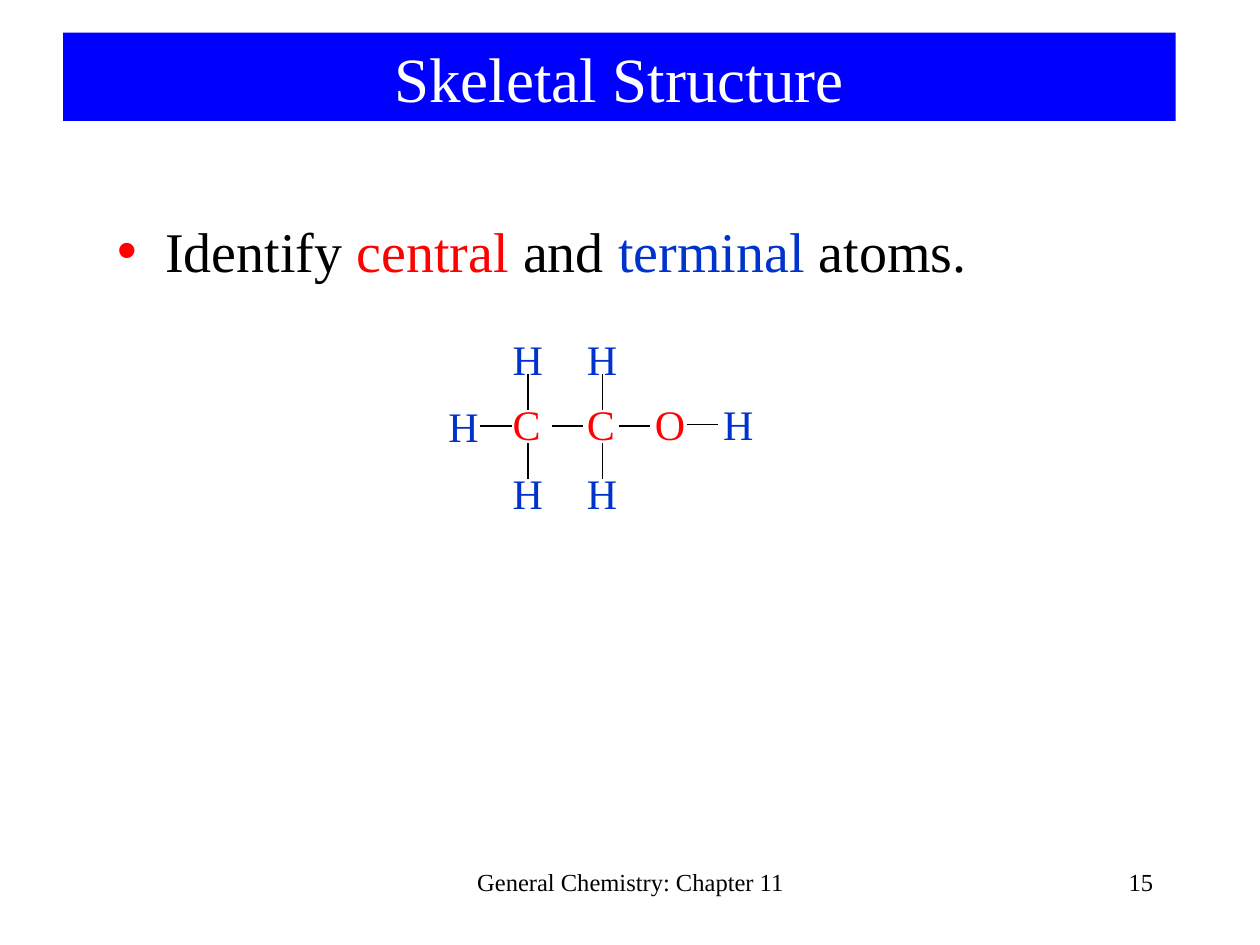
from dataclasses import dataclass

from lxml import etree
from pptx import Presentation
from pptx.dml.color import RGBColor
from pptx.enum.shapes import MSO_CONNECTOR
from pptx.enum.text import MSO_ANCHOR, MSO_AUTO_SIZE, PP_ALIGN
from pptx.oxml.ns import qn
from pptx.util import Inches, Pt

LEFT, CENTER, RIGHT = PP_ALIGN.LEFT, PP_ALIGN.CENTER, PP_ALIGN.RIGHT
TOP, MIDDLE = MSO_ANCHOR.TOP, MSO_ANCHOR.MIDDLE
NO_FIT = MSO_AUTO_SIZE.NONE
STRAIGHT = MSO_CONNECTOR.STRAIGHT


@dataclass
class Theme:
    font: str = "Times New Roman"
    banner: str = "0000FF"
    light: str = "FFFFFF"
    ink: str = "000000"
    central: str = "FF0101"
    terminal: str = "0033CC"
    title_size: int = 36
    body_size: int = 32
    atom_size: int = 24
    footer_size: int = 14
    bond_width: float = 0.74


theme = Theme()


def place(shape, left, top, width, height, anchor=TOP):
    shape.left, shape.top = Inches(left), Inches(top)
    shape.width, shape.height = Inches(width), Inches(height)
    frame = shape.text_frame
    frame.word_wrap = True
    frame.auto_size = NO_FIT
    frame.vertical_anchor = anchor
    return frame.paragraphs[0]


def style(paragraph, size, color, align=LEFT):
    paragraph.alignment = align
    paragraph.font.name = theme.font
    paragraph.font.size = Pt(size)
    paragraph.font.color.rgb = RGBColor.from_string(color)


deck = Presentation()
deck.slide_width, deck.slide_height = Inches(10), Inches(7.5)
slide = deck.slides.add_slide(deck.slide_layouts[1])
shapes = slide.shapes

# Title banner
banner = shapes.title
banner.fill.solid()
banner.fill.fore_color.rgb = RGBColor.from_string(theme.banner)
heading = place(banner, 0.5, 0.26, 8.83, 0.7, MIDDLE)
heading.text = "Skeletal Structure"
style(heading, theme.title_size, theme.light, CENTER)

# Bulleted instruction with coloured key words
instruction = place(slide.placeholders[1], 0.83, 1.67, 8.5, 4.5)
style(instruction, theme.body_size, theme.ink)
instruction.space_before = Pt(8)
for words, color in (
    ("Identify ", theme.ink),
    ("central", theme.central),
    (" and ", theme.ink),
    ("terminal", theme.terminal),
    (" atoms.", theme.ink),
):
    run = instruction.add_run()
    run.text = words
    run.font.color.rgb = RGBColor.from_string(color)

bullet = instruction._p.get_or_add_pPr()
bullet.set("marL", str(Inches(0.38)))
bullet.set("indent", str(-Inches(0.38)))
bullet_color = etree.Element(qn("a:buClr"))
etree.SubElement(bullet_color, qn("a:srgbClr"), val=theme.central)
bullet_char = etree.Element(qn("a:buChar"), char="•")
spacing = bullet.find(qn("a:spcBef"))
spacing.addnext(bullet_color)
bullet_color.addnext(bullet_char)

# Atoms sit on a grid of columns and rows
columns = (3.46, 3.97, 4.56, 5.1, 5.64)
upper, chain, lower = 2.6, 3.11, 3.66
c_columns = columns[1:3]
atoms = [(symbol, left, chain) for symbol, left in zip("HCCOH", columns)]
atoms[0] = ("H", columns[0], chain + 0.02)
atoms += [("H", left, row) for left in c_columns for row in (upper, lower)]
for symbol, left, top in atoms:
    atom = place(shapes.add_textbox(0, 0, 0, 0), left, top, 0.5, 0.5)
    atom.text = symbol
    style(atom, theme.atom_size, theme.terminal if symbol == "H" else theme.central)

# Bonds: along the chain, then above and below each C
bond_x, bond_y = 0.25, 0.28
bonds = [
    (left, y, left + bond_x, y)
    for left, y in ((3.81, 3.38), (4.38, 3.38), (4.91, 3.38), (5.45, 3.37))
]
bonds += [
    (left + 0.22, y, left + 0.22, y + bond_y)
    for left in c_columns
    for y in (2.97, 3.52)
]
for ends in bonds:
    bond = shapes.add_connector(STRAIGHT, *map(Inches, ends))
    bond.line.color.rgb = RGBColor.from_string(theme.ink)
    bond.line.width = Pt(theme.bond_width)
    etree.SubElement(bond._element.spPr, qn("a:effectLst"))

# Footer and page number
for words, left, width, align in (
    ("General Chemistry: Chapter 11", 3.42, 3.17, CENTER),
    ("15", 7.17, 2.08, RIGHT),
):
    footer = place(shapes.add_textbox(0, 0, 0, 0), left, 6.83, width, 0.5)
    footer.text = words
    style(footer, theme.footer_size, theme.ink, align)

deck.save("out.pptx")
